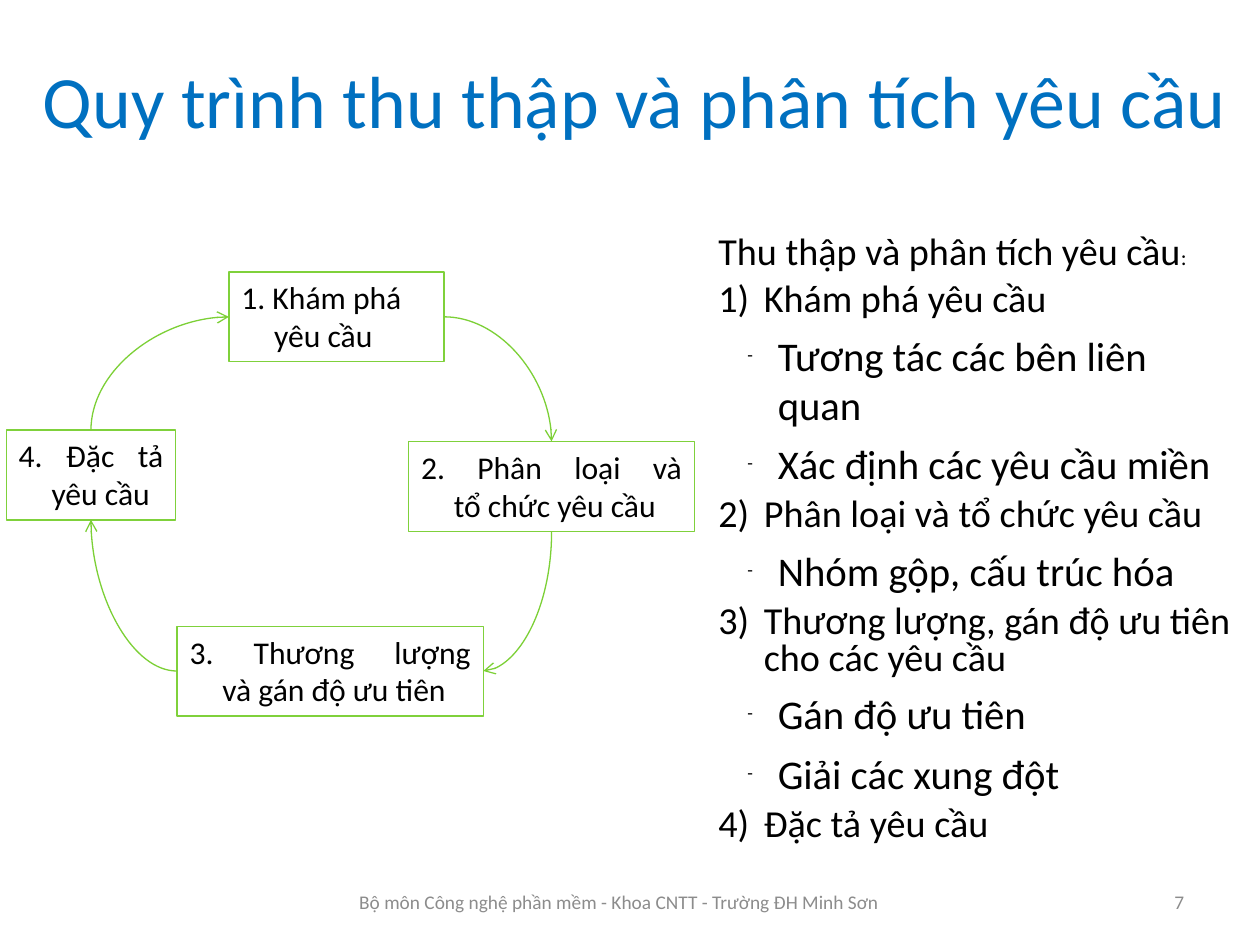
from dataclasses import dataclass
from lxml import etree
from pptx import Presentation
from pptx.dml.color import RGBColor
from pptx.enum.shapes import MSO_CONNECTOR, MSO_SHAPE
from pptx.enum.text import MSO_ANCHOR, PP_ALIGN
from pptx.oxml.ns import qn
from pptx.util import Inches, Pt

RECT, CURVE = MSO_SHAPE.RECTANGLE, MSO_CONNECTOR.CURVE
TOP, MIDDLE = MSO_ANCHOR.TOP, MSO_ANCHOR.MIDDLE
LEFT, CENTER, RIGHT, JUSTIFY = PP_ALIGN.LEFT, PP_ALIGN.CENTER, PP_ALIGN.RIGHT, PP_ALIGN.JUSTIFY
SITE_TOP, SITE_LEFT, SITE_BOTTOM, SITE_RIGHT = range(4)


@dataclass(frozen=True)
class Theme:
    """Colours, font and type sizes of the slide."""
    font: str = "Calibri"
    title: str = "0070C0"
    ink: str = "000000"
    muted: str = "8C8C8C"
    paper: str = "FFFFFF"
    border: str = "7FD13B"
    arrow: str = "7CD036"
    title_size: float = 42
    item_size: float = 21.7
    detail_size: float = 23.2
    colon_size: float = 12.4
    step_size: float = 18
    footer_size: float = 11
    line_width: float = 0.75


@dataclass(frozen=True)
class Box:
    """A rectangle whose inner areas are given in percent of its size."""
    x: float
    y: float
    w: float
    h: float

    def area(self, x, y, w, h):
        """Return the box at the given percentages of this one."""
        return Box(self.x + self.w * x / 100, self.y + self.h * y / 100,
                   self.w * w / 100, self.h * h / 100)

    def emu(self):
        """Return left, top, width and height as whole lengths."""
        return [int(v) for v in (self.x, self.y, self.w, self.h)]


T = Theme()
STEPS = {
    "discover": ("1. Khám phá\nyêu cầu", LEFT, (32.35, 0, 31.25, 20.23)),
    "classify": ("2. Phân loại và\ntổ chức yêu cầu", JUSTIFY, (58.46, 38.18, 41.54, 20.23)),
    "negotiate": ("3. Thương lượng\nvà gán độ ưu tiên", JUSTIFY, (24.82, 79.77, 44.49, 20.23)),
    "specify": ("4. Đặc tả\nyêu cầu", JUSTIFY, (0, 35.61, 24.63, 20.23)),
}
ARROWS = [
    ("discover", SITE_RIGHT, "classify", SITE_TOP, "tailEnd"),
    ("negotiate", SITE_RIGHT, "classify", SITE_BOTTOM, "headEnd"),
    ("negotiate", SITE_LEFT, "specify", SITE_BOTTOM, "tailEnd"),
    ("discover", SITE_LEFT, "specify", SITE_TOP, "headEnd"),
]
OUTLINE = [
    ("Khám phá yêu cầu", ["Tương tác các bên liên quan", "Xác định các yêu cầu miền"]),
    ("Phân loại và tổ chức yêu cầu", ["Nhóm gộp, cấu trúc hóa"]),
    ("Thương lượng, gán độ ưu tiên cho các yêu cầu", ["Gán độ ưu tiên", "Giải các xung đột"]),
    ("Đặc tả yêu cầu", []),
]


def add_text(p, text, size, color=T.ink, align=LEFT, spacing=None, before=None, indent=None, hang=None):
    """Write text into a paragraph with the given format."""
    p.alignment = align
    if spacing:
        p.line_spacing = spacing
    if before:
        p.space_before = Pt(before)
    if indent:
        pPr = p._p.get_or_add_pPr()
        pPr.set("marL", str(Inches(indent)))
        pPr.set("indent", str(-Inches(hang or indent)))
    for i, line in enumerate(text.split("\n")):
        if i:
            p.add_line_break()
        r = p.add_run()
        r.text = line
        r.font.name, r.font.size = T.font, Pt(size)
        r.font.color.rgb = RGBColor.from_string(color)


def add_frame(slide, box, anchor=MIDDLE):
    """Add a wrapping text box and return its text frame."""
    tf = slide.shapes.add_textbox(*box.emu()).text_frame
    tf.word_wrap, tf.vertical_anchor = True, anchor
    return tf


def add_bullet(p, tag, size=None, **attrs):
    """Give a paragraph a black bullet or number."""
    pPr = p._p.get_or_add_pPr()
    clr = etree.SubElement(pPr, qn("a:buClr"))
    etree.SubElement(clr, qn("a:srgbClr"), val=T.ink)
    if size:
        etree.SubElement(pPr, qn("a:buSzPct"), val=str(size * 1000))
    etree.SubElement(pPr, qn("a:buFont"), typeface=T.font)
    etree.SubElement(pPr, qn(tag), **attrs)


def add_step(slide, box, text, align):
    """Add one outlined step of the cycle."""
    sp = slide.shapes.add_shape(RECT, *box.emu())
    sp.shadow.inherit = False
    sp.fill.solid()
    sp.fill.fore_color.rgb = RGBColor.from_string(T.paper)
    sp.line.color.rgb = RGBColor.from_string(T.border)
    sp.line.width = Pt(T.line_width)
    tf = sp.text_frame
    tf.word_wrap, tf.vertical_anchor = True, TOP
    add_text(tf.paragraphs[0], text, T.step_size, align=align, indent=0.26)
    return sp


def add_arrow(slide, start, start_site, end, end_site, arrow_end):
    """Join two steps by a quarter curve with one arrowhead."""
    c = slide.shapes.add_connector(CURVE, 0, 0, 0, 0)
    c.begin_connect(start, start_site)
    c.end_connect(end, end_site)
    c.line.color.rgb = RGBColor.from_string(T.arrow)
    c.line.width = Pt(T.line_width)
    spPr = c._element.spPr
    spPr.find(qn("a:prstGeom")).set("prst", "curvedConnector2")
    etree.SubElement(spPr.find(qn("a:ln")), qn("a:" + arrow_end), type="arrow")
    etree.SubElement(spPr, qn("a:effectLst"))


def add_cycle(slide, box):
    """Draw the four steps and the arrows between them."""
    steps = {key: add_step(slide, box.area(*shares), text, align)
             for key, (text, align, shares) in STEPS.items()}
    for start, start_site, end, end_site, arrow_end in ARROWS:
        add_arrow(slide, steps[start], start_site, steps[end], end_site, arrow_end)


def add_outline(slide, box):
    """Write the numbered list with its details."""
    tf = add_frame(slide, box, TOP)
    p = tf.paragraphs[0]
    add_text(p, "Thu thập và phân tích yêu cầu", T.item_size, spacing=0.8, before=6)
    add_text(p, ":", T.colon_size)
    for item, details in OUTLINE:
        p = tf.add_paragraph()
        add_text(p, item, T.item_size, spacing=0.8, before=6, indent=0.36)
        add_bullet(p, "a:buAutoNum", type="arabicParenR")
        for detail in details:
            p = tf.add_paragraph()
            p.level = 1
            add_text(p, detail, T.detail_size, before=6, indent=0.47, hang=0.24)
            add_bullet(p, "a:buChar", size=45, char="-")


def add_title(slide, box):
    """Write the slide title."""
    add_text(add_frame(slide, box).paragraphs[0], "Quy trình thu thập và phân tích yêu cầu",
             T.title_size, color=T.title, align=CENTER)


def add_footer(slide, box):
    """Write the department line and the page number."""
    for text, align, shares in [
        ("Bộ môn Công nghệ phần mềm - Khoa CNTT - Trường ĐH Minh Sơn", CENTER, (24.9, 0, 48.49, 100)),
        ("7", RIGHT, (71.69, 0, 23.29, 100)),
    ]:
        p = add_frame(slide, box.area(*shares)).paragraphs[0]
        add_text(p, text, T.footer_size, color=T.muted, align=align)


def main():
    """Build the slide and save it."""
    prs = Presentation()
    prs.slide_width, prs.slide_height = Inches(9.96), Inches(7.47)
    slide = prs.slides.add_slide(prs.slide_layouts[6])
    page = Box(0, 0, prs.slide_width, prs.slide_height)
    add_title(slide, page.area(-2.01, 2.14, 104.72, 16.6))
    add_outline(slide, page.area(56.02, 24.36, 43.27, 66.4))
    add_cycle(slide, page.area(0.5, 28.78, 54.62, 46.99))
    add_footer(slide, page.area(0, 92.77, 100, 5.35))
    prs.save("out.pptx")


main()
